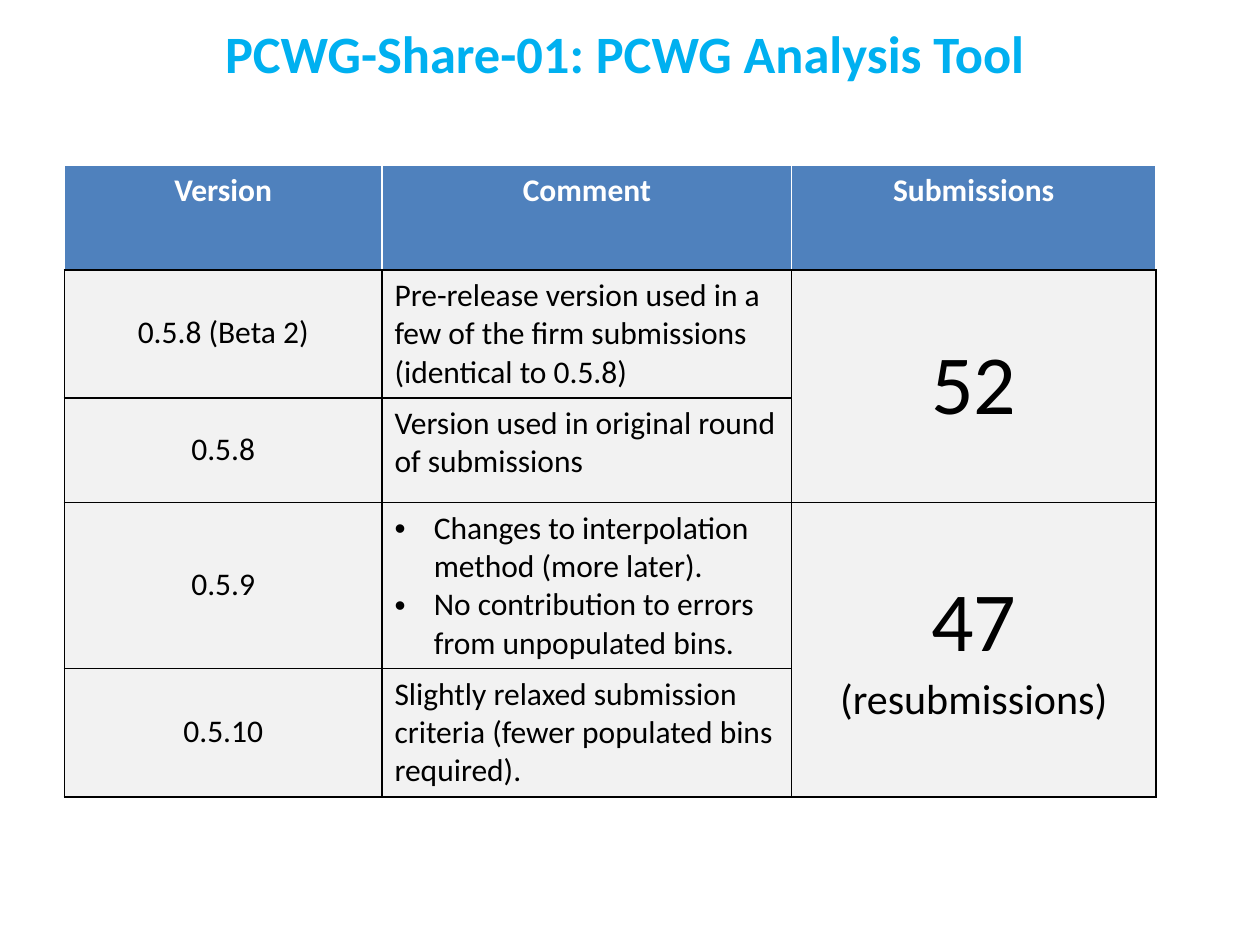
import pptx
import pptx.dml.color
import pptx.enum.text
import pptx.oxml
import pptx.oxml.ns
import pptx.util

Cm, Pt = pptx.util.Cm, pptx.util.Pt
RGBColor = pptx.dml.color.RGBColor
ALIGN, ANCHOR = pptx.enum.text.PP_ALIGN, pptx.enum.text.MSO_ANCHOR

SKY = RGBColor(0x00, 0xB0, 0xF0)
BLUE = RGBColor(0x4F, 0x81, 0xBD)
GREY = RGBColor(0xF2, 0xF2, 0xF2)
WHITE = RGBColor(0xFF, 0xFF, 0xFF)
BLACK = RGBColor(0x00, 0x00, 0x00)
FONT = "Calibri"

TITLE = "PCWG-Share-01: PCWG Analysis Tool"
HEADINGS = ["Version", "Comment", "Submissions"]
VERSIONS = [
    ("0.5.8 (Beta 2)", ["Pre-release version used in a few of the firm submissions (identical to 0.5.8)"]),
    ("0.5.8", ["Version used in original round of submissions"]),
    ("0.5.9", ["Changes to interpolation method (more later).",
               "No contribution to errors from unpopulated bins."]),
    ("0.5.10", ["Slightly relaxed submission criteria (fewer populated bins required)."]),
]
# Each count covers two versions: lines of (text, size)
SUBMISSIONS = [[("52", 48)], [("47", 48), ("(resubmissions)", 24)]]
VERSIONS_PER_COUNT = 2

COLUMN_WIDTHS = [Cm(6.4), Cm(8.26), Cm(7.34)]
ROW_HEIGHT = Cm(2.11)
CELL_BOTTOM_MARGIN = Cm(0.17)
BULLET_INDENT = Cm(0.79)


def write(frame, lines, color, align, bold=False, bullets=False):
    """Fill a text frame with one paragraph per (text, size) line."""
    for number, (text, size) in enumerate(lines):
        paragraph = frame.add_paragraph() if number else frame.paragraphs[0]
        paragraph.alignment = align
        if bullets:
            properties = paragraph._p.get_or_add_pPr()
            properties.set("marL", str(BULLET_INDENT))
            properties.set("indent", str(-BULLET_INDENT))
            for tag, key, value in (("buFont", "typeface", "Arial"), ("buChar", "char", "•")):
                bullet = pptx.oxml.parse_xml(
                    f'<a:{tag} {pptx.oxml.ns.nsdecls("a")} {key}="{value}"/>')
                properties.append(bullet)
        run = paragraph.add_run()
        run.text = text
        run.font.name = FONT
        run.font.size = Pt(size)
        run.font.bold = bold
        run.font.color.rgb = color


def paint(cell, fill, side_color):
    """Set the fill and borders; the bottom border is always black."""
    properties = cell._tc.get_or_add_tcPr()
    for side in "LRTB":
        color = BLACK if side == "B" else side_color
        properties.append(pptx.oxml.parse_xml(
            f'<a:ln{side} {pptx.oxml.ns.nsdecls("a")} w="{Pt(1)}"><a:solidFill>'
            f'<a:srgbClr val="{color}"/></a:solidFill></a:ln{side}>'))
    cell.fill.solid()
    cell.fill.fore_color.rgb = fill


def add_title(slide):
    box = slide.shapes.add_textbox(Cm(-0.1), Cm(0.38), Cm(25.4), Cm(1.35))
    frame = box.text_frame
    frame.word_wrap = True
    frame.vertical_anchor = ANCHOR.MIDDLE
    frame.margin_left = frame.margin_right = Cm(0.36)
    frame.margin_top = frame.margin_bottom = Cm(0.18)
    write(frame, [(TITLE, 30)], SKY, ALIGN.CENTER, bold=True)


def add_versions_table(slide):
    row_count = len(VERSIONS) + 1
    table = slide.shapes.add_table(row_count, len(HEADINGS), Cm(1.3), Cm(3.33),
                                   sum(COLUMN_WIDTHS), ROW_HEIGHT * row_count).table
    for column, width in zip(table.columns, COLUMN_WIDTHS):
        column.width = width
    for index, row in enumerate(table.rows):
        row.height = ROW_HEIGHT
        for cell in row.cells:
            paint(cell, GREY if index else BLUE, BLACK if index else WHITE)
            cell.margin_bottom = CELL_BOTTOM_MARGIN

    for column, heading in enumerate(HEADINGS):
        write(table.cell(0, column).text_frame, [(heading, 18)], WHITE, ALIGN.CENTER, bold=True)

    for row, (version, comments) in enumerate(VERSIONS, start=1):
        version_cell = table.cell(row, 0)
        version_cell.vertical_anchor = ANCHOR.MIDDLE
        write(version_cell.text_frame, [(version, 18)], BLACK, ALIGN.CENTER)
        write(table.cell(row, 1).text_frame, [(comment, 18) for comment in comments],
              BLACK, ALIGN.LEFT, bullets=len(comments) > 1)

    for group, lines in enumerate(SUBMISSIONS):
        first = 1 + group * VERSIONS_PER_COUNT
        count_cell = table.cell(first, 2)
        count_cell.merge(table.cell(first + VERSIONS_PER_COUNT - 1, 2))
        count_cell.vertical_anchor = ANCHOR.MIDDLE
        write(count_cell.text_frame, lines, BLACK, ALIGN.CENTER)


def main():
    deck = pptx.Presentation()
    deck.slide_width, deck.slide_height = Cm(25.4), Cm(19.05)
    slide = deck.slides.add_slide(deck.slide_layouts[6])
    add_title(slide)
    add_versions_table(slide)
    deck.save("out.pptx")


if __name__ == "__main__":
    main()
